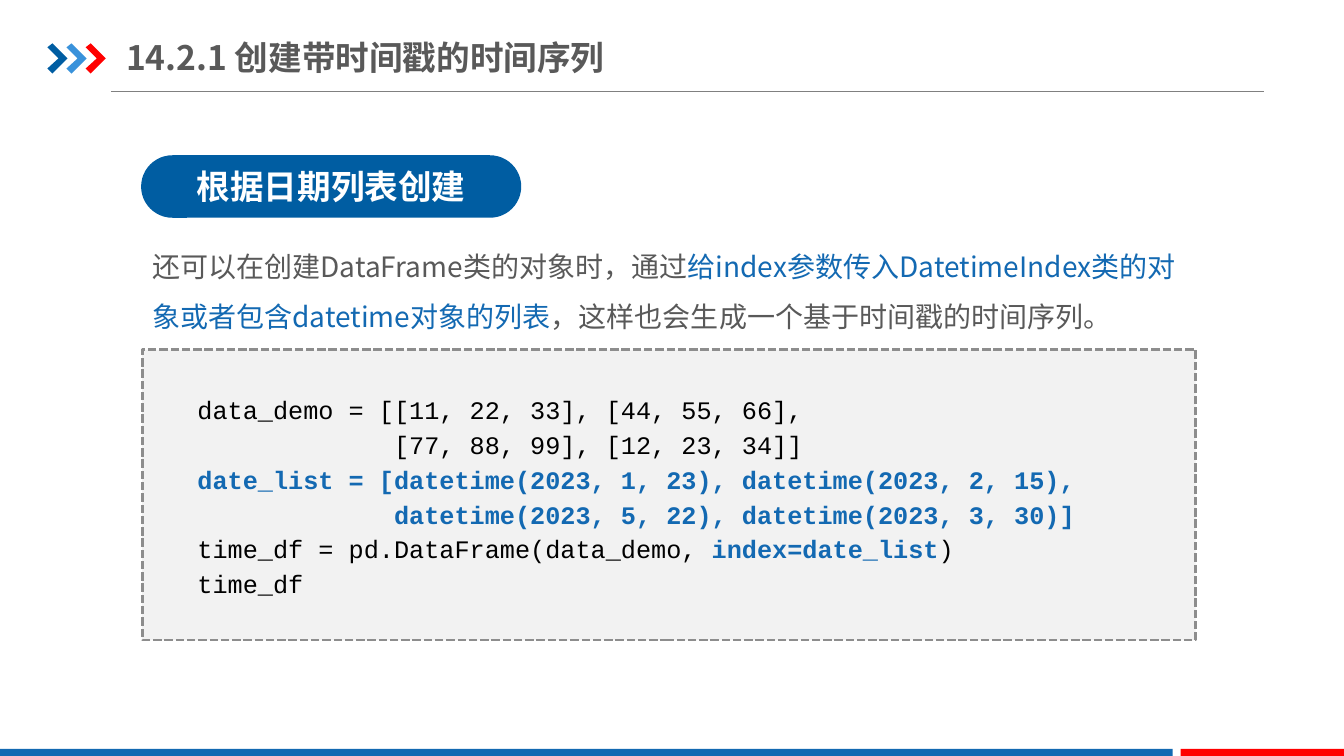
from lxml import etree
from pptx import Presentation
from pptx.dml.color import RGBColor
from pptx.enum.dml import MSO_LINE
from pptx.enum.shapes import MSO_CONNECTOR, MSO_SHAPE
from pptx.enum.text import MSO_ANCHOR, MSO_AUTO_SIZE, PP_ALIGN
from pptx.oxml.ns import qn
from pptx.util import Inches, Pt

RECTANGLE = MSO_SHAPE.RECTANGLE
PILL = MSO_SHAPE.ROUNDED_RECTANGLE
STRAIGHT = MSO_CONNECTOR.STRAIGHT
MIDDLE = MSO_ANCHOR.MIDDLE
LEFT, CENTER = PP_ALIGN.LEFT, PP_ALIGN.CENTER
NO_AUTOFIT, FIT_SHAPE = MSO_AUTO_SIZE.NONE, MSO_AUTO_SIZE.SHAPE_TO_FIT_TEXT
DASH = MSO_LINE.SQUARE_DOT

COLORS = {
    "navy": "005DA2", "sky": "3992DB", "red": "FF0000", "blue": "1369B2",
    "text": "595959", "rule": "808080", "panel": "F2F2F2", "border": "8D8D8D",
    "white": "FFFFFF", "black": "000000",
}
SANS, MONO = "Noto Sans CJK SC", "Courier New"

BODY_RUNS = [
    ("还可以在创建DataFrame类的对象时，通过", False),
    ("给index参数传入DatetimeIndex类的对象或者包含datetime对象的列表", True),
    ("，这样也会生成一个基于时间戳的时间序列。", False),
]
CODE_LINES = [
    [("data_demo = [[11, 22, 33], [44, 55, 66],", False)],
    [("             [77, 88, 99], [12, 23, 34]]", False)],
    [("date_list = [datetime(2023, 1, 23), datetime(2023, 2, 15),", True)],
    [("             datetime(2023, 5, 22), datetime(2023, 3, 30)]", True)],
    [("time_df = pd.DataFrame(data_demo, ", False), ("index=date_list", True), (")", False)],
    [("time_df", False)],
]


def rgb(name):
    """Return the named colour."""
    return RGBColor.from_string(COLORS[name])


def format_paragraph(paragraph, font_name, size, color, bold=False):
    """Set one font for Latin and East Asian text of a paragraph."""
    font = paragraph.font
    font.size = Pt(size)
    font.bold = bold
    font.color.rgb = rgb(color)
    font.name = font_name
    properties = paragraph._p.pPr.find(qn("a:defRPr"))
    etree.SubElement(properties, qn("a:ea")).set("typeface", font_name)


def write_runs(paragraph, runs, bold_highlight=False):
    """Add runs, drawing the highlighted ones in blue."""
    for text, highlighted in runs:
        run = paragraph.add_run()
        run.text = text
        if highlighted:
            run.font.color.rgb = rgb("blue")
            run.font.bold = bold_highlight


def add_block(slide, kind, left, top, width, height, color):
    """Add a filled shape without outline or shadow."""
    shape = slide.shapes.add_shape(
        kind, Inches(left), Inches(top), Inches(width), Inches(height))
    shape.shadow.inherit = False
    shape.fill.solid()
    shape.fill.fore_color.rgb = rgb(color)
    shape.line.fill.background()
    return shape


def add_text_frame(slide, left, top, width, height):
    """Add a wrapping text box and return its frame."""
    box = slide.shapes.add_textbox(
        Inches(left), Inches(top), Inches(width), Inches(height))
    frame = box.text_frame
    frame.word_wrap = True
    frame.auto_size = FIT_SHAPE
    return frame


def add_chevron(slide, left, top, color):
    """Draw one arrow-like chevron."""
    outline = [(0.05, 0), (0.2, 0.15), (0.05, 0.3), (0, 0.25), (0.11, 0.15)]
    points = [(Inches(left + x), Inches(top + y)) for x, y in outline]
    builder = slide.shapes.build_freeform(Inches(left), Inches(top + 0.04))
    builder.add_line_segments(points, close=True)
    shape = builder.convert_to_shape()
    shape.shadow.inherit = False
    shape.fill.solid()
    shape.fill.fore_color.rgb = rgb(color)
    shape.line.fill.background()


def add_header(slide, left, top):
    """Place the chevrons, the title and the rule below it."""
    for index, color in enumerate(("navy", "sky", "red")):
        add_chevron(slide, left + index * 0.19, top + 0.14, color)
    rule = slide.shapes.add_connector(
        STRAIGHT, Inches(left + 0.63), Inches(top + 0.62),
        Inches(left + 12.07), Inches(top + 0.62))
    rule.line.color.rgb = rgb("rule")
    rule.line.width = Pt(0.75)
    etree.SubElement(rule._element.spPr, qn("a:effectLst"))

    title = slide.shapes.title
    title.left, title.top = Inches(left + 0.78), Inches(top)
    title.width, title.height = Inches(5.1), Inches(0.55)
    frame = title.text_frame
    frame.text = "14.2.1 创建带时间戳的时间序列"
    frame.margin_left = frame.margin_right = 0
    frame.margin_top = frame.margin_bottom = Inches(0.07)
    frame.vertical_anchor = MIDDLE
    frame.word_wrap = True
    frame.auto_size = NO_AUTOFIT
    paragraph = frame.paragraphs[0]
    paragraph.alignment = LEFT
    format_paragraph(paragraph, SANS, 24, "text", bold=True)


def add_heading(slide, left, top, width, height):
    """Place the section heading in a pill."""
    pill = add_block(slide, PILL, left, top, width, height, "navy")
    pill.adjustments[0] = 0.5
    frame = pill.text_frame
    frame.text = "根据日期列表创建"
    frame.vertical_anchor = MIDDLE
    paragraph = frame.paragraphs[0]
    paragraph.alignment = CENTER
    format_paragraph(paragraph, SANS, 24, "white", bold=True)


def add_body(slide, left, top, width, height):
    """Place the explanation."""
    paragraph = add_text_frame(slide, left, top, width, height).paragraphs[0]
    paragraph.line_spacing = 1.5
    format_paragraph(paragraph, SANS, 20, "text")
    write_runs(paragraph, BODY_RUNS)


def add_code(slide, left, top, width, height):
    """Place the code listing in a dashed panel."""
    panel = add_block(slide, RECTANGLE, left, top, width, height, "panel")
    panel.line.color.rgb = rgb("border")
    panel.line.width = Pt(2)
    panel.line.dash_style = DASH
    frame = add_text_frame(slide, left + 0.16, top + 0.35, width - 0.31, height - 0.69)
    for index, runs in enumerate(CODE_LINES):
        paragraph = frame.add_paragraph() if index else frame.paragraphs[0]
        paragraph.line_spacing = 1.15
        paragraph._p.get_or_add_pPr().set("indent", str(Inches(0.29)))
        format_paragraph(paragraph, MONO, 18, "black")
        write_runs(paragraph, runs, bold_highlight=True)


def add_footer(slide, top, height):
    """Place the two bars along the bottom edge."""
    add_block(slide, RECTANGLE, 0, top, 11.63, height, "blue")
    add_block(slide, RECTANGLE, 11.71, top, 1.62, height, "red")


def main():
    """Build and save the presentation."""
    presentation = Presentation()
    presentation.slide_width = Inches(13.33)
    presentation.slide_height = Inches(7.5)
    slide = presentation.slides.add_slide(presentation.slide_layouts[5])
    add_header(slide, 0.47, 0.29)
    add_footer(slide, 7.43, 0.07)
    add_heading(slide, 1.4, 1.54, 3.77, 0.62)
    add_body(slide, 1.41, 2.26, 10.45, 1.11)
    add_code(slide, 1.41, 3.47, 10.45, 2.88)
    presentation.save("out.pptx")


if __name__ == "__main__":
    main()
